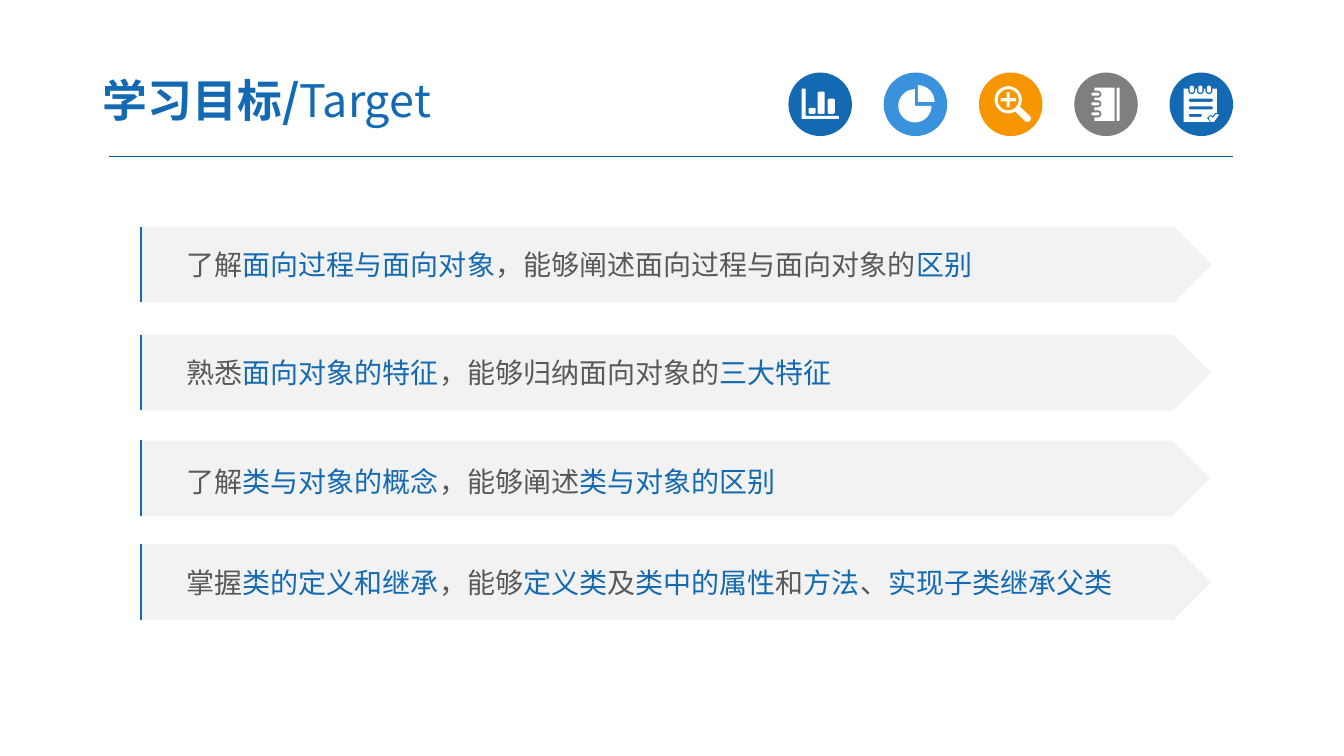
import math
from dataclasses import dataclass

import pptx
import pptx.dml.color
import pptx.enum.shapes
import pptx.enum.text
import pptx.oxml
import pptx.oxml.ns
import pptx.util

Inches = pptx.util.Inches
Pt = pptx.util.Pt
Shape = pptx.enum.shapes.MSO_SHAPE
Points = list[tuple[float, float]]

FACE = "Noto Sans CJK SC"
BLUE, GREY, PALE, WHITE = "1369B2", "595959", "F2F2F2", "FFFFFF"


@dataclass
class Badge:
    fill: str
    icon: list[Points]  # hundredths of an inch from the badge corner


@dataclass
class Goal:
    top: float
    width: float
    text: str  # every second piece between bars is blue
    space: float = 1.0


def color(code: str) -> pptx.dml.color.RGBColor:
    return pptx.dml.color.RGBColor.from_string(code)


def arc(x: float, y: float, r: float, start: int, end: int) -> Points:
    """Points along a circle, in degrees clockwise from the right."""
    step = 10 if end > start else -10
    turns = [math.radians(a) for a in range(start, end + step, step)]
    return [(x + r * math.cos(a), y + r * math.sin(a)) for a in turns]


def pill(left: float, top: float, right: float, low: float, r: float) -> Points:
    """Outline of a rounded box."""
    return (arc(right - r, low - r, r, 0, 90) + arc(left + r, low - r, r, 90, 180)
            + arc(left + r, top + r, r, 180, 270) + arc(right - r, top + r, r, 270, 360))


def bars() -> list[Points]:
    axis = [(13, 16), (17, 16), (17, 43), (50, 43), (50, 46), (13, 46)]
    return [axis] + [pill(x, y, x + 7, 41, 1.5) for x, y in ((20, 35), (29, 19), (39, 26))]


def pie() -> list[Points]:
    return [[(34, 29)] + arc(34, 29, 16.5, -90, 0),
            [(31, 33)] + arc(31, 33, 16.5, 0, 270)]


def lens() -> list[Points]:
    x, y, far, near = 29, 27, 7.5, 1.5
    rim = arc(x, y, 13.5, 60, 390) + arc(48, 45.5, 3.5, -40, 130)
    arm = [(near, -near), (far, -near), (far, near), (near, near)]
    plus = []
    for _ in range(4):
        plus += [(x + a, y + b) for a, b in arm]
        arm = [(-b, a) for a, b in arm]
    return [rim, arc(x, y, 10.5, 0, 350), plus]


def book() -> list[Points]:
    rows = (41, 31, 21.5)
    cover = [(40, 15), (40, 48), (20, 48)]
    for y in rows:
        cover += [(20, y + 3.5)] + arc(23.5, y, 3.5, 90, -90) + [(20, y - 3.5)]
    cover.append((20, 15))
    rings = [pill(17, y - 1.5, 25, y + 1.5, 1.5) for y in rows]
    return [cover, pill(42, 15, 45, 48, 1)] + rings


def notes() -> list[Points]:
    cols = (22, 30.5, 39)
    page = [(14, 16)]
    for x in cols:
        page += [(x - 3.5, 16)] + arc(x, 18, 3.5, 180, 0) + [(x + 3.5, 16)]
    page += [(47, 16), (47, 40), (45, 40), (43, 43), (40, 42), (37, 45), (40, 49), (14, 49)]
    check = [(49, 42), (44, 49), (41, 49), (39, 46), (40, 43), (43, 45), (46, 41)]
    rings = [pill(x - 2, 13, x + 2, 20, 2) for x in cols]
    lines = [pill(19, y, end, y + 3, 1.5) for y, end in ((26, 43), (33.5, 43), (41, 32))]
    return [page, check] + rings + lines


def paint(shape, fill: str) -> None:
    shape.shadow.inherit = False
    shape.fill.solid()
    shape.fill.fore_color.rgb = color(fill)
    shape.line.fill.background()


def rule(slide, x: float, y: float, end: float, low: float, code: str, width: float) -> None:
    line = slide.shapes.add_connector(pptx.enum.shapes.MSO_CONNECTOR.STRAIGHT,
                                      Inches(x), Inches(y), Inches(end), Inches(low))
    line.line.color.rgb = color(code)
    line.line.width = Pt(width)
    line._element.spPr.append(pptx.oxml.parse_xml(
        f"<a:effectLst {pptx.oxml.ns.nsdecls('a')}/>"))


def style(para, size: float) -> None:
    para.alignment = pptx.enum.text.PP_ALIGN.LEFT
    para.font.size = Pt(size)
    para.font.name = FACE
    para.font._element.append(pptx.oxml.parse_xml(
        f'<a:ea {pptx.oxml.ns.nsdecls("a")} typeface="{FACE}"/>'))


def write(para, text: str, code: str, bold: bool = False) -> None:
    run = para.add_run()
    run.text = text
    run.font.color.rgb = color(code)
    run.font.bold = bold


def draw_badge(slide, badge: Badge, left: float, top: float) -> None:
    size = Inches(0.63)
    disc = slide.shapes.add_shape(Shape.OVAL, Inches(left), Inches(top), size, size)
    paint(disc, badge.fill)
    pen = None
    for loop in badge.icon:
        spots = [(x * 10, y * 10) for x, y in loop]
        if pen is None:
            pen = slide.shapes.build_freeform(*spots[0], scale=Inches(1) / 1000)
        else:
            pen.move_to(*spots[0])
        pen.add_line_segments(spots[1:], close=True)
    paint(pen.convert_to_shape(Inches(left), Inches(top)), WHITE)


def draw_goal(slide, goal: Goal) -> None:
    high = 0.75
    plate = slide.shapes.add_shape(Shape.PENTAGON, Inches(1.39), Inches(goal.top),
                                   Inches(goal.width), Inches(high))
    paint(plate, PALE)
    frame = plate.text_frame
    frame.word_wrap = True
    frame.vertical_anchor = pptx.enum.text.MSO_ANCHOR.MIDDLE
    frame.margin_left = Inches(0.46)
    para = frame.paragraphs[0]
    para.line_spacing = goal.space
    style(para, 20)
    for i, piece in enumerate(goal.text.split("|")):
        write(para, piece, BLUE if i % 2 else GREY)
    rule(slide, 1.4, goal.top, 1.4, goal.top + high, BLUE, 1.5)


def draw_title(slide) -> None:
    box = slide.shapes.add_textbox(Inches(0.89), Inches(0.63), Inches(5.22), Inches(0.72))
    frame = box.text_frame
    frame.word_wrap = True
    frame.vertical_anchor = pptx.enum.text.MSO_ANCHOR.MIDDLE
    frame.margin_left = frame.margin_right = Inches(0.13)
    frame.margin_top = frame.margin_bottom = Inches(0.07)
    para = frame.paragraphs[0]
    style(para, 32)
    write(para, "学习目标/", BLUE, bold=True)
    write(para, "Target", BLUE)


BADGES = [Badge(BLUE, bars()), Badge("3992DB", pie()), Badge("F79600", lens()),
          Badge("7F7F7F", book()), Badge(BLUE, notes())]
GOALS = [
    Goal(2.25, 10.63, "了解|面向过程与面向对象|，能够阐述面向过程与面向对象的|区别"),
    Goal(3.32, 10.62, "熟悉|面向对象的特征|，能够归纳面向对象的|三大特征"),
    Goal(4.37, 10.61, "了解|类与对象的概念|，能够阐述|类与对象的区别", 1.2),
    Goal(5.4, 10.62, "掌握|类的定义和继承|，能够|定义类|及|类中的属性|和|方法|、|实现子类继承父类"),
]


def main() -> None:
    deck = pptx.Presentation()
    deck.slide_width, deck.slide_height = Inches(13.33), Inches(7.5)
    slide = deck.slides.add_slide(deck.slide_layouts[6])
    rule(slide, 1.08, 1.55, 12.23, 1.55, "005B9E", 0.75)
    for i, badge in enumerate(BADGES):
        draw_badge(slide, badge, 7.82 + 0.945 * i, 0.72)
    draw_title(slide)
    for goal in GOALS:
        draw_goal(slide, goal)
    deck.save("out.pptx")


if __name__ == "__main__":
    main()
